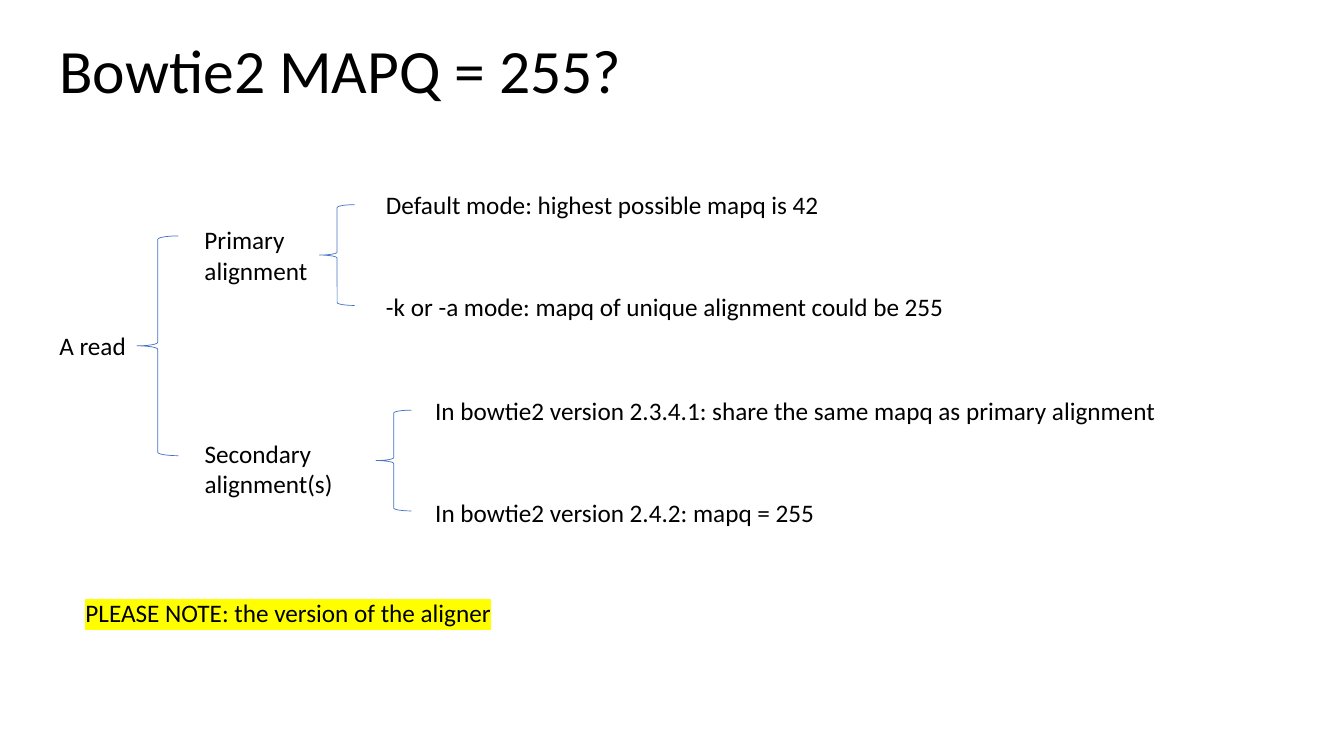
from dataclasses import dataclass

from lxml import etree
from pptx import Presentation
from pptx import util as u
from pptx.dml.color import RGBColor
from pptx.enum import shapes, text
from pptx.oxml.ns import qn


@dataclass(frozen=True)
class Theme:
    font: str = "Calibri"
    ink: str = "000000"
    brace: str = "4472C4"
    marker: str = "FFFF00"
    title_size: int = 44
    body_size: int = 18
    brace_width: float = 0.5


class TreeSlide:
    """Holds the theme and the slide being built."""

    def __init__(self, slide, theme):
        self.slide = slide
        self.theme = theme

    def label(self, wording, left, top, width, height=28.8, *, size=None,
              wrap=False, grow=True, middle=False, spacing=None, highlight=None):
        box = self.slide.shapes.add_textbox(
            u.Pt(left), u.Pt(top), u.Pt(width), u.Pt(height))
        frame = box.text_frame
        frame.word_wrap = wrap
        frame.auto_size = (text.MSO_AUTO_SIZE.SHAPE_TO_FIT_TEXT if grow
                           else text.MSO_AUTO_SIZE.NONE)
        frame.vertical_anchor = (text.MSO_ANCHOR.MIDDLE if middle
                                 else text.MSO_ANCHOR.TOP)
        frame.text = wording
        for paragraph in frame.paragraphs:
            if spacing:
                paragraph.line_spacing = spacing
            for run in paragraph.runs:
                run.font.size = u.Pt(size or self.theme.body_size)
                run.font.color.rgb = RGBColor.from_string(self.theme.ink)
                run.font.name = self.theme.font
                if highlight:
                    self.mark(run, highlight)

    def mark(self, run, color):
        # The highlight must come before the font name in the run properties
        latin = run.font._element.find(qn("a:latin"))
        marker = etree.Element(qn("a:highlight"))
        etree.SubElement(marker, qn("a:srgbClr"), val=color)
        latin.addprevious(marker)

    def brace(self, left, top, width=25.2, height=72,
              kind=shapes.MSO_SHAPE.LEFT_BRACE, rotation=0):
        brace = self.slide.shapes.add_shape(
            kind, u.Pt(left), u.Pt(top), u.Pt(width), u.Pt(height))
        brace.rotation = rotation
        brace.shadow.inherit = False
        brace.fill.background()
        brace.line.color.rgb = RGBColor.from_string(self.theme.brace)
        brace.line.width = u.Pt(self.theme.brace_width)

    def branch(self, brace_left, brace_top, label_left, outcomes):
        """A brace with one outcome at each of its two tips."""
        self.brace(brace_left, brace_top)
        for row, (wording, width) in enumerate(outcomes):
            self.label(wording, label_left, brace_top - 14.4 + row * 73, width)


def main():
    deck = Presentation()
    deck.slide_width, deck.slide_height = u.Pt(960), u.Pt(540)
    theme = Theme()
    tree = TreeSlide(deck.slides.add_slide(deck.slide_layouts[6]), theme)

    # Title
    tree.label("Bowtie2 MAPQ = 255?", 35.3, 0, 828, 104.4,
               size=theme.title_size, wrap=True, grow=False, middle=True,
               spacing=0.9)

    # Root of the tree
    tree.label("A read", 35.3, 232.6, 62.6)
    tree.brace(97.9, 168.5, 29.5, 157,
               kind=shapes.MSO_SHAPE.RIGHT_BRACE, rotation=180)

    # Primary alignment
    tree.label("Primary\nalignment", 139, 157, 88.6, 51)
    tree.branch(228.2, 146.2, 268.6, [
        ("Default mode: highest possible mapq is 42", 327.6),
        ("-k or -a mode: mapq of unique alignment could be 255", 418.3),
    ])

    # Secondary alignments
    tree.label("Secondary\nalignment(s)", 139, 309.6, 107.3, 51)
    tree.branch(268.6, 293, 303.8, [
        ("In bowtie2 version 2.3.4.1: share the same mapq as primary alignment",
         535),
        ("In bowtie2 version 2.4.2: mapq = 255", 288.7),
    ])

    # Closing note
    tree.label("PLEASE NOTE: the version of the aligner", 54, 423.4, 480.2, 51,
               wrap=True, highlight=theme.marker)

    deck.save("out.pptx")


if __name__ == "__main__":
    main()
